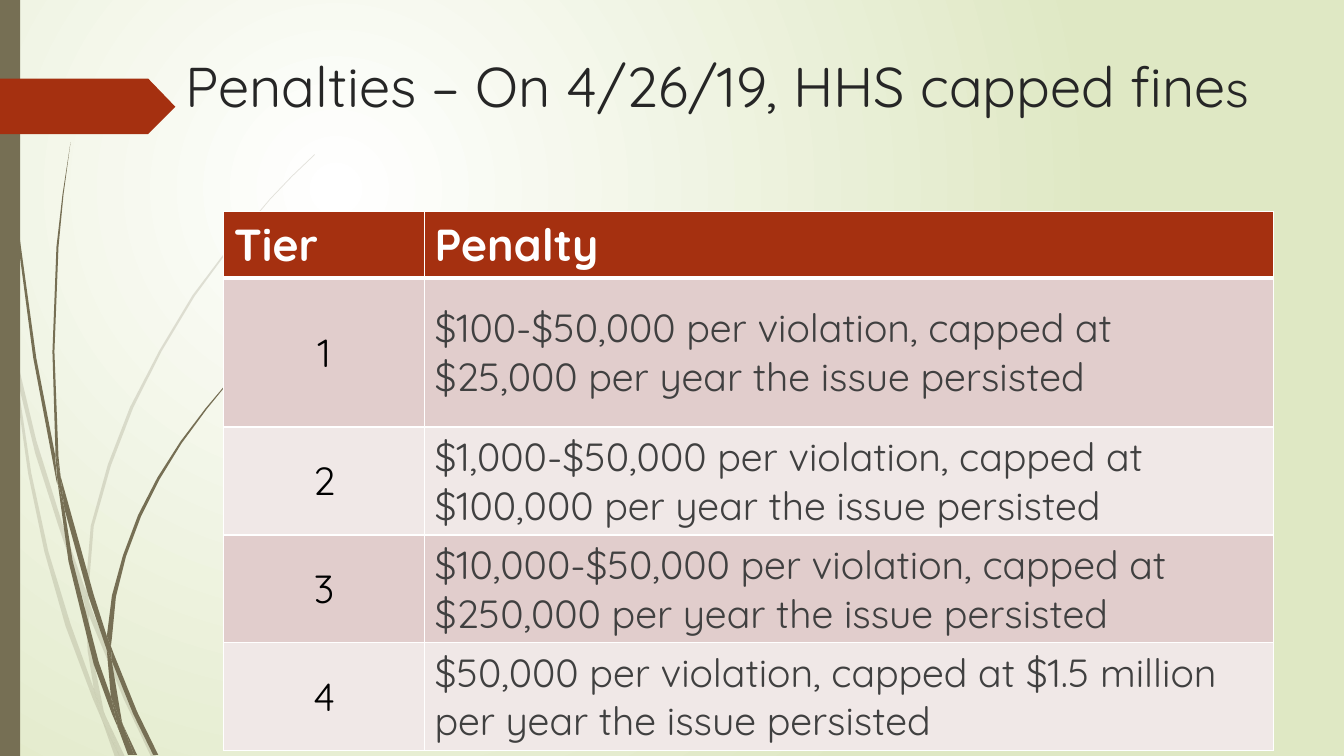
from lxml.etree import SubElement
from pptx import Presentation
from pptx.dml.color import RGBColor
from pptx.enum.text import MSO_ANCHOR, MSO_AUTO_SIZE, PP_ALIGN
from pptx.enum.shapes import MSO_SHAPE
from pptx.oxml.ns import qn
from pptx.util import Inches, Pt

hue = RGBColor.from_string
UNIT = Inches(0.01)
COLS, ROWS = 1333, 750
OLIVE, RUST, WHITE = "766F54", "A53010", "FFFFFF"


def paint(shape, color):
    shape.shadow.inherit = False
    shape.fill.solid()
    shape.fill.fore_color.rgb = hue(color)
    shape.line.fill.background()


def write(para, text, size, color, bold=False):
    run = para.add_run()
    run.text = text
    font = run.font
    font.name = "Quicksand"
    font.size = Pt(size)
    font.bold = bold
    font.color.rgb = hue(color)


deck = Presentation()
deck.slide_width = COLS * UNIT
deck.slide_height = ROWS * UNIT
slide = deck.slides.add_slide(deck.slide_layouts[5])
shapes = slide.shapes

back = slide.background.fill
back.gradient()
for stop, color, place in zip(back.gradient_stops, (WHITE, "DFE8C4"), (0, 1)):
    stop.color.rgb = hue(color)
    stop.position = place
grad = slide.element.find(".//" + qn("a:gradFill"))
grad.remove(grad.find(qn("a:lin")))
focus = SubElement(grad, qn("a:path"), path="circle")
SubElement(focus, qn("a:fillToRect"), l="50000", t="50000", r="100000", b="100000")

pale = [
    [(11, 350), (9, 322), (0, 282), (0, 299), (10, 344)],
    [(58, 522), (84, 599), (85, 586), (62, 520), (36, 437), (14, 345), (17, 376), (35, 450)],
    [(92, 607), (88, 596), (88, 610), (123, 694), (150, 751), (155, 751), (127, 692)],
    [(119, 751), (124, 751), (105, 711)],
    [(93, 683), (70, 619), (48, 547), (31, 469), (17, 376), (11, 350), (28, 470),
     (44, 547), (65, 621), (92, 693), (101, 714), (99, 707)],
    [(84, 599), (87, 646), (93, 683), (96, 692), (105, 711), (103, 706),
     (91, 646), (88, 610), (88, 608)],
    [(88, 584), (93, 522), (110, 462), (132, 405), (160, 349), (193, 294), (229, 245),
     (268, 198), (290, 175), (312, 154), (312, 153), (289, 175), (268, 197), (228, 244),
     (191, 293), (158, 348), (129, 404), (107, 461), (90, 522), (85, 584), (85, 586), (88, 596)],
    [(101, 714), (114, 751), (119, 751)],
    [(88, 608), (88, 610), (88, 596), (85, 586), (84, 599)],
    [(96, 692), (93, 683), (99, 707), (101, 714), (119, 751), (105, 711)],
]
dark = [
    [(7, 110), (17, 233), (33, 355), (56, 477), (57, 481), (55, 457), (55, 453),
     (36, 355), (19, 232), (8, 109), (5, 48), (4, 0), (3, 0), (4, 48)],
    [(88, 592), (106, 645), (106, 633), (106, 631), (93, 590), (60, 472), (64, 505)],
    [(113, 649), (110, 641), (111, 656), (132, 708), (152, 749), (157, 749), (136, 706)],
    [(110, 691), (98, 657), (72, 556), (64, 505), (57, 477), (68, 557), (93, 659),
     (111, 708), (117, 722), (116, 717)],
    [(60, 472), (58, 453), (54, 349), (58, 245), (63, 193), (70, 141), (62, 193),
     (56, 245), (52, 349), (55, 449)],
    [(133, 749), (136, 749), (122, 719)],
    [(57, 477), (64, 505), (60, 472), (55, 449), (55, 453)],
    [(111, 633), (115, 592), (125, 552), (140, 512), (158, 476), (180, 440), (205, 406),
     (231, 374), (245, 359), (261, 344), (260, 344), (245, 358), (231, 373), (204, 405),
     (179, 438), (156, 474), (137, 511), (122, 551), (111, 591), (106, 631), (110, 641)],
    [(117, 722), (127, 749), (131, 749)],
    [(106, 645), (110, 691), (116, 706), (122, 719), (121, 716), (111, 656), (109, 651)],
    [(106, 645), (109, 651), (111, 656), (110, 641), (106, 631), (106, 633)],
    [(116, 706), (110, 691), (116, 717), (117, 722), (130, 749), (133, 749), (122, 719)],
]
for blades, alpha in ((pale, 20000), (dark, 100000)):
    tuft = shapes.add_group_shape()
    for knots in blades:
        pen = tuft.shapes.build_freeform(*knots[0], scale=UNIT)
        pen.add_line_segments(knots[1:], close=True)
        blade = pen.convert_to_shape()
        paint(blade, OLIVE)
        tone = blade.fill._xPr.find(".//" + qn("a:srgbClr"))
        SubElement(tone, qn("a:alpha"), val=str(alpha))

bar = shapes.add_shape(MSO_SHAPE.RECTANGLE, 0, 0, 20 * UNIT, ROWS * UNIT)
paint(bar, OLIVE)
pen = shapes.build_freeform(0, 78, scale=UNIT)
pen.add_line_segments([(147, 78), (174, 106), (147, 133), (0, 133)], close=True)
paint(pen.convert_to_shape(), RUST)

title = shapes.title
title.left, title.top = 174 * UNIT, 46 * UNIT
title.width, title.height = 1135 * UNIT, 141 * UNIT
frame = title.text_frame
frame.word_wrap = True
frame.auto_size = MSO_AUTO_SIZE.NONE
frame.vertical_anchor = MSO_ANCHOR.TOP
head = frame.paragraphs[0]
head.alignment = PP_ALIGN.LEFT
write(head, "Penalties – On 4/26/19, HHS capped fine", 40, "262626")
write(head, "s", 36, "262626")
head.add_line_break()

data = [
    ("Tier", "Penalty"),
    ("1", "$100-$50,000 per violation, capped at $25,000 per year the issue persisted"),
    ("2", "$1,000-$50,000 per violation, capped at $100,000 per year the issue persisted"),
    ("3", "$10,000-$50,000 per violation, capped at $250,000 per year the issue persisted"),
    ("4", "$50,000 per violation, capped at $1.5 million per year the issue persisted"),
]
wide = (199, 842)
high = (41, 148, 41, 41, 41)
grid = shapes.add_table(len(high), len(wide), 222 * UNIT, 210 * UNIT,
                        sum(wide) * UNIT, sum(high) * UNIT)
table = grid.table
for col, width in zip(table.columns, wide):
    col.width = width * UNIT
for i, (line, height) in enumerate(zip(data, high)):
    table.rows[i].height = height * UNIT
    for j, text in enumerate(line):
        cell = table.cell(i, j)
        props = cell._tc.get_or_add_tcPr()
        for side in "LRTB":
            thick = 3 if (i, side) == (0, "B") else 1
            edge = SubElement(props, qn("a:ln" + side), w=str(Pt(thick)))
            SubElement(SubElement(edge, qn("a:solidFill")), qn("a:srgbClr"), val=WHITE)
        cell.fill.solid()
        para = cell.text_frame.paragraphs[0]
        if i == 0:
            cell.fill.fore_color.rgb = hue(RUST)
            write(para, text, 32, WHITE, True)
        else:
            cell.fill.fore_color.rgb = hue("E1CDCC" if i % 2 else "F0E8E7")
            if j == 0 or i == 1:
                cell.vertical_anchor = MSO_ANCHOR.MIDDLE
            para.alignment = PP_ALIGN.LEFT if j else PP_ALIGN.CENTER
            write(para, text, 28, "404040" if j else "000000")
grid.height = 522 * UNIT

deck.save("out.pptx")
